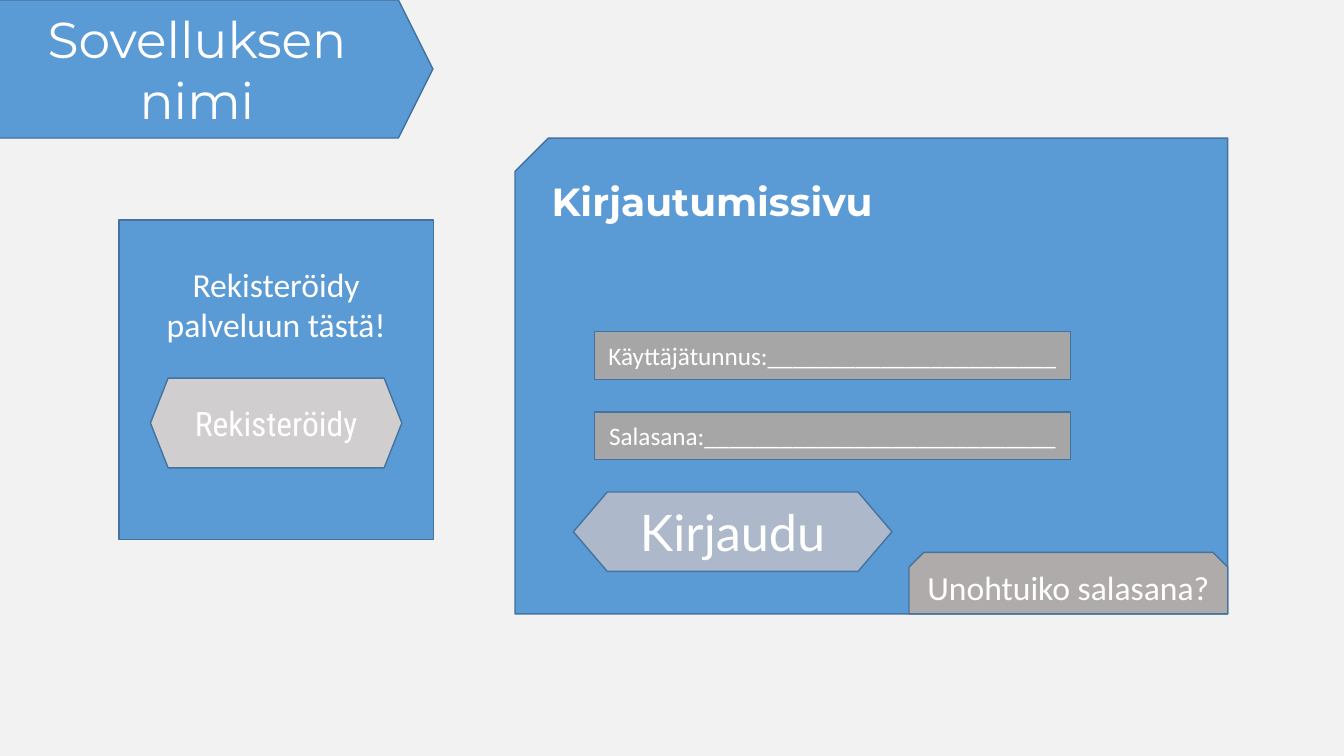
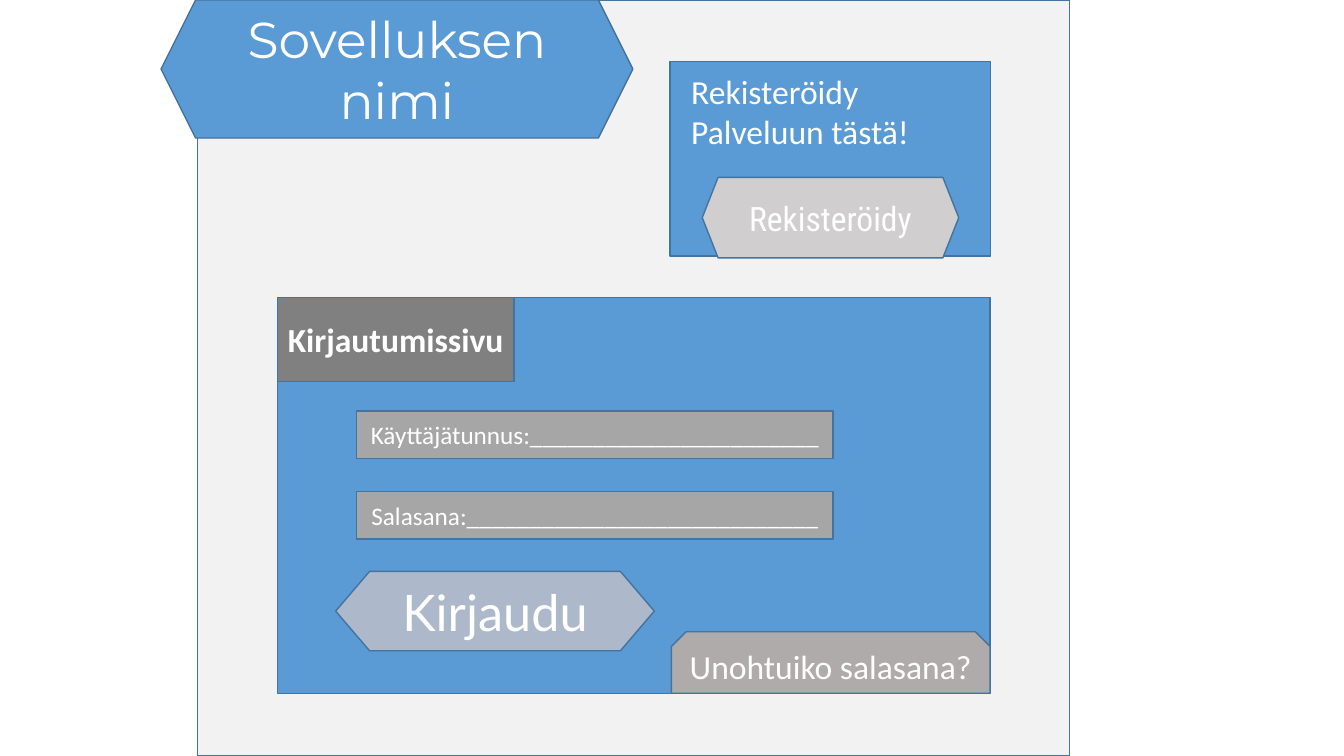
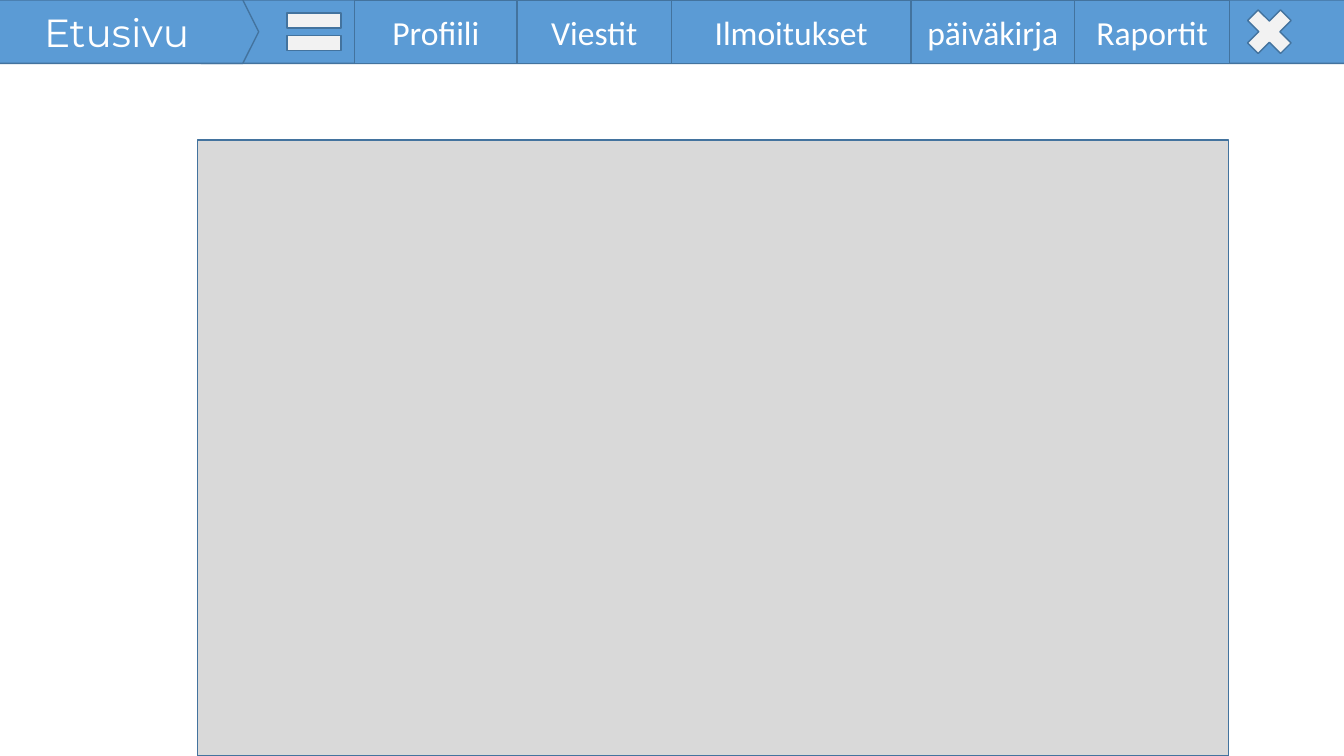
from pptx import Presentation
from pptx.dml.color import RGBColor
from pptx.enum.shapes import MSO_SHAPE
from pptx.enum.text import MSO_ANCHOR, MSO_AUTO_SIZE, PP_ALIGN
from pptx.oxml.ns import qn
from pptx.util import Cm, Pt

# Shared look
BLUE, EDGE, WHITE, PALE = "5B9BD5", "43739E", "FFFFFF", "F2F2F2"
FIELD, TAB, FORGOT = "A6A6A6", "808080", "AFABAB"
REGISTER, LOGIN, CONTENT = "D0CECE", "ADB9CA", "D9D9D9"
BODY, HEADING = "Calibri", "Montserrat"
SLIDE_W, SLIDE_H = 33.87, 19.05
BANNER_W, BANNER_H = 11.89, 3.48
NAV_H = 1.6


def rgb(color):
    return RGBColor.from_string(color)


def paint(sp, fill):
    sp.fill.solid()
    sp.fill.fore_color.rgb = rgb(fill)
    sp.line.color.rgb = rgb(EDGE)
    sp.line.width = Pt(1)


def write(sp, lines, size=24, font=BODY, bold=False,
          align=PP_ALIGN.CENTER, anchor=MSO_ANCHOR.MIDDLE):
    tf = sp.text_frame
    tf.text = lines
    tf.word_wrap = True
    tf.auto_size = MSO_AUTO_SIZE.NONE
    tf.vertical_anchor = anchor
    for p in tf.paragraphs:
        p.alignment = align
        p.line_spacing = 1.0
        for r in p.runs:
            r.font.size, r.font.name, r.font.bold = Pt(size), font, bold
            r.font.color.rgb = rgb(WHITE)


def add_box(s, kind, box, fill, adjust=None, text=None, **style):
    sp = s.shapes.add_shape(kind, *map(Cm, box))
    sp.shadow.inherit = False
    paint(sp, fill)
    if adjust is not None:
        sp.adjustments[0] = adjust
    if text:
        write(sp, text, **style)
    return sp


def add_slide(prs, background):
    s = prs.slides.add_slide(prs.slide_layouts[5])
    s.background.fill.solid()
    s.background.fill.fore_color.rgb = rgb(background)
    return s


def title_banner(s, box, text, size):
    """Hexagon with the title between its points, in front of earlier parts."""
    x, y, w, h = box
    point = 1.2
    add_box(s, MSO_SHAPE.HEXAGON, box, BLUE)
    title = s.shapes.title
    title.left, title.top = Cm(x + point), Cm(y)
    title.width, title.height = Cm(w - 2 * point), Cm(h)
    write(title, text, size, HEADING)
    tf = title.text_frame
    tf.margin_top = tf.margin_bottom = 0
    s.shapes._spTree.append(title._element)


def register_card(s, box, text, inset, button_top, button_h, align):
    x, y, w, h = box
    card = add_box(s, MSO_SHAPE.RECTANGLE, box, BLUE, text=text,
                   align=align, anchor=MSO_ANCHOR.TOP)
    card.text_frame.margin_left, card.text_frame.margin_top = map(Cm, inset)
    button_w = 0.8 * w
    add_box(s, MSO_SHAPE.HEXAGON,
            (x + (w - button_w) / 2, y + button_top, button_w, button_h),
            REGISTER, 0.197, "Rekisteröidy", font="Roboto Condensed")


def login_form(s, box):
    """Fields and buttons, measured up from the card's bottom edge."""
    x, y, w, h = box
    bottom = y + h
    labels = ("Käyttäjätunnus:" + "_" * 23, "Salasana:" + "_" * 28)
    for i, label in enumerate(labels):
        add_box(s, MSO_SHAPE.RECTANGLE,
                (x + 2, bottom - 7.11 + 2.02 * i, 12, 1.2),
                FIELD, text=label, size=18)
    button_w, forgot_h = 8.03, 1.55
    add_box(s, MSO_SHAPE.HEXAGON, (x + 1.47, bottom - 3.07, button_w, 2),
            LOGIN, 0.427, "Kirjaudu", size=36, font="Lato")
    add_box(s, MSO_SHAPE.SNIP_2_SAME_RECTANGLE,
            (x + w - button_w, bottom - forgot_h, button_w, forgot_h),
            FORGOT, 0.239, "Unohtuiko salasana?")


def nav_bar(s):
    add_box(s, MSO_SHAPE.HEXAGON, (4.67, 0, 30, NAV_H), BLUE)
    title_banner(s, (-0.64, 0, 7.16, NAV_H), "Etusivu", 28)
    add_box(s, MSO_SHAPE.MATH_EQUAL, (6.99, 0, 1.85, NAV_H), PALE)
    # Menu items side by side
    x = 8.94
    for label, w in (("Profiili", 4.09), ("Viestit", 3.89),
                     ("Ilmoitukset", 6.04), ("päiväkirja", 4.12),
                     ("Raportit", 3.91)):
        add_box(s, MSO_SHAPE.RECTANGLE, (x, 0, w, NAV_H), BLUE, text=label)
        x += w
    add_box(s, MSO_SHAPE.MATH_MULTIPLY, (31.19, 0, NAV_H, NAV_H), PALE)


def wide_login_slide(prs):
    s = add_slide(prs, PALE)
    card = (12.98, BANNER_H, 17.96, 11.99)
    sp = add_box(s, MSO_SHAPE.SNIP_1_RECTANGLE, card, BLUE, 0.07)
    sp._element.spPr.find(qn("a:xfrm")).set("flipH", "1")
    title_banner(s, (-0.98, 0, BANNER_W, BANNER_H), "Sovelluksen nimi", 36)
    register_card(s, (3, 5.54, 7.92, 8.05), "Rekisteröidy palveluun tästä!",
                  (0.25, 1.1), 3.99, 2.26, PP_ALIGN.CENTER)
    heading = s.shapes.add_textbox(
        Cm(card[0]), Cm(card[1] + 0.51), Cm(9.93), Cm(2.13))
    write(heading, "Kirjautumissivu", 28, HEADING, bold=True)
    login_form(s, card)


def narrow_login_slide(prs):
    s = add_slide(prs, WHITE)
    add_box(s, MSO_SHAPE.RECTANGLE, (4.98, 0, 21.97, SLIDE_H), PALE)
    title_banner(s, (4.06, 0, BANNER_W, BANNER_H), "Sovelluksen nimi", 36)
    card = (6.99, 7.49, 17.96, 9.98)
    add_box(s, MSO_SHAPE.RECTANGLE, card, BLUE)
    add_box(s, MSO_SHAPE.RECTANGLE, (*card[:2], 5.97, 2.13), TAB,
            text="Kirjautumissivu", bold=True)
    login_form(s, card)
    register_card(s, (16.89, 1.55, 8.08, 4.9),
                  "Rekisteröidy\nPalveluun tästä!",
                  (0.53, 0.23), 2.92, 2.03, PP_ALIGN.LEFT)


def home_slide(prs):
    s = add_slide(prs, WHITE)
    nav_bar(s)
    top = 3.53
    add_box(s, MSO_SHAPE.RECTANGLE, (4.98, top, 25.98, SLIDE_H - top), CONTENT)


prs = Presentation()
prs.slide_width, prs.slide_height = Cm(SLIDE_W), Cm(SLIDE_H)
wide_login_slide(prs)
narrow_login_slide(prs)
home_slide(prs)
prs.save("out.pptx")
